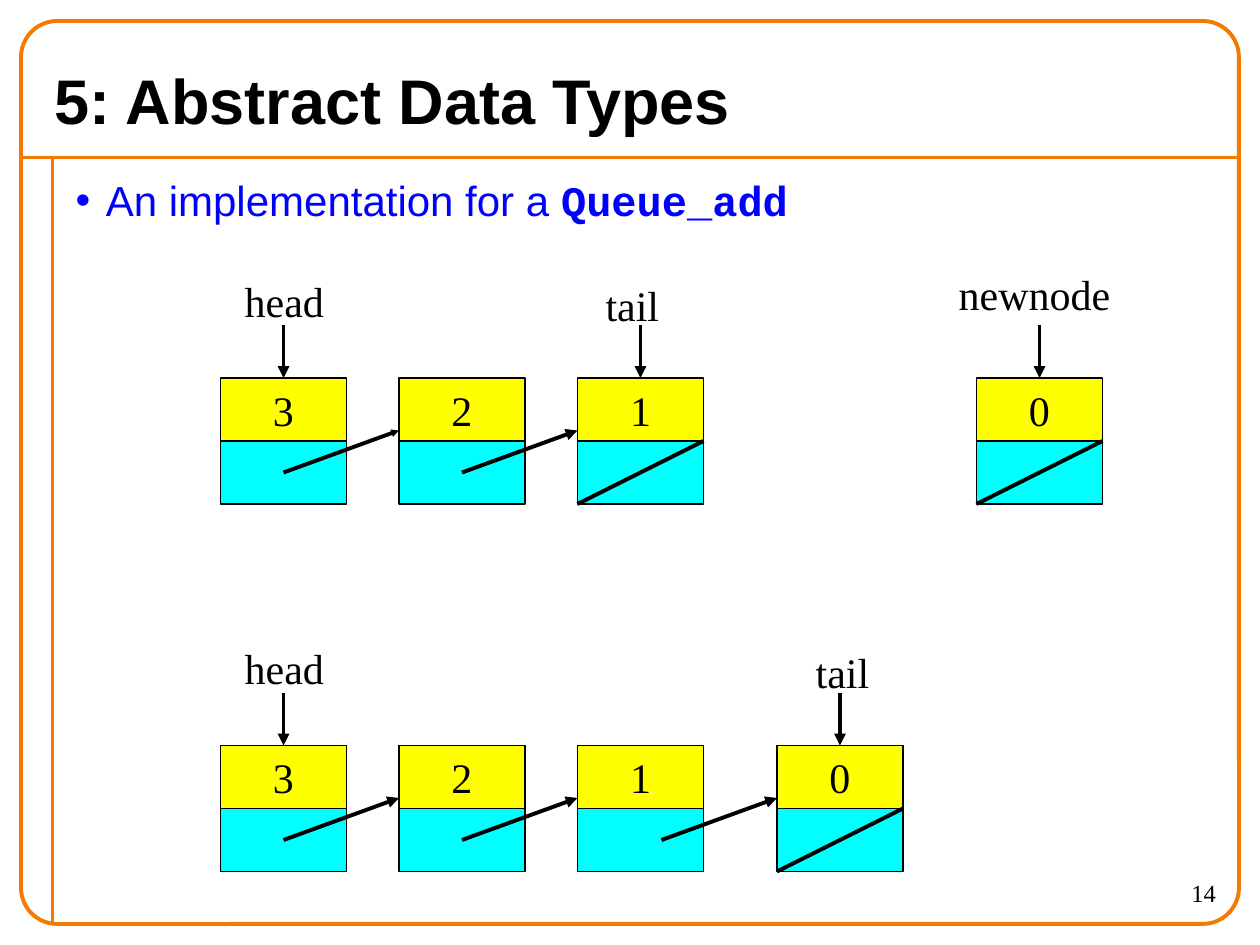
from lxml import etree
from pptx import Presentation
from pptx import util as u
from pptx.dml.color import RGBColor
from pptx.enum import shapes, text
from pptx.oxml import ns

ORANGE, BLACK, BLUE = "F47A00", "000000", "0000FF"
YELLOW, CYAN = "FFFF00", "00FFFF"
SERIF, SANS, MONO = "Times New Roman", "Arial", "Courier New"
NODE_W, CELL_H = 96, 48


def px(n):
    return u.Emu(n * 9525)


def rgb(value):
    return RGBColor.from_string(value)


def sub(parent, tag, **attrs):
    return etree.SubElement(parent, ns.qn(tag), attrs)


def add_run(p, words, font=SERIF, size=24, color=BLACK, bold=False):
    r = p.add_run()
    r.text = words
    r.font.name, r.font.size, r.font.bold = font, u.Pt(size), bold
    r.font.color.rgb = rgb(color)


def put_text(sp, words, align=text.PP_ALIGN.LEFT, anchor=text.MSO_ANCHOR.TOP,
             wrap=False, **font):
    """Fill the first paragraph of a shape and return it."""
    tf = sp.text_frame
    tf.word_wrap, tf.auto_size = wrap, text.MSO_AUTO_SIZE.NONE
    tf.vertical_anchor = anchor
    p = tf.paragraphs[0]
    p.alignment = align
    add_run(p, words, **font)
    return p


def add_line(s, x1, y1, x2, y2, color=BLACK, head=None):
    """Draw a line; head is the arrowhead size, "med" or "sm"."""
    line = s.shapes.add_connector(shapes.MSO_CONNECTOR.STRAIGHT,
                                  px(x1), px(y1), px(x2), px(y2))
    line.line.color.rgb = rgb(color)
    line.line.width = u.Pt(2.25)
    if head:
        sub(line.line._get_or_add_ln(), "a:tailEnd", type="triangle", w=head, len=head)
    sub(line._element.spPr, "a:effectLst")


def add_box(parent, kind, x, y, w, h, fill=None, line=BLACK, weight=0.75):
    sp = parent.shapes.add_shape(kind, px(x), px(y), px(w), px(h))
    sp.shadow.inherit = False
    if fill:
        sp.fill.solid()
        sp.fill.fore_color.rgb = rgb(fill)
    else:
        sp.fill.background()
    sp.line.color.rgb = rgb(line)
    sp.line.width = u.Pt(weight)
    return sp


def add_frame(s, x, y, w, h):
    rule_y, rule_x = y + 104, x + 24
    add_line(s, x, rule_y, x + w, rule_y, ORANGE)
    add_line(s, rule_x, rule_y, rule_x, y + h, ORANGE)
    frame = add_box(s, shapes.MSO_SHAPE.ROUNDED_RECTANGLE, x, y, w, h,
                    line=ORANGE, weight=2.25)
    frame.adjustments[0] = 0.04


def place(sp, x, y, w, h):
    sp.left, sp.top, sp.width, sp.height = px(x), px(y), px(w), px(h)


def fill_placeholders(s):
    title, body = s.placeholders
    place(title, 32, 40, 896, 72)
    put_text(title, "5: Abstract Data Types", anchor=text.MSO_ANCHOR.MIDDLE,
             wrap=True, font=SANS, size=36, bold=True)

    place(body, 48, 128, 888, 576)
    p = put_text(body, "An implementation for a ", wrap=True, font=SANS, color=BLUE)
    add_run(p, "Queue_add", font=MONO, color=BLUE, bold=True)
    p.space_before = u.Pt(0)
    pPr = p._p.get_or_add_pPr()
    pPr.set("marL", str(px(23)))
    pPr.set("indent", str(px(-23)))
    sub(sub(pPr, "a:buClr"), "a:srgbClr", val=BLUE)
    sub(pPr, "a:buFont", typeface=SANS)
    sub(pPr, "a:buChar", char="•")


def add_label(s, words, x, y, w, h, **fmt):
    put_text(s.shapes.add_textbox(px(x), px(y), px(w), px(h)), words, **fmt)


def add_node(s, x, y, value):
    group = s.shapes.add_group_shape()
    rect = shapes.MSO_SHAPE.RECTANGLE
    add_box(group, rect, x, y + CELL_H, NODE_W, CELL_H, CYAN)
    cell = add_box(group, rect, x, y, NODE_W, CELL_H, YELLOW)
    put_text(cell, value, align=text.PP_ALIGN.CENTER, anchor=text.MSO_ANCHOR.MIDDLE)


def add_list(s, y, nodes, links, ends, pointers):
    """nodes: (x, value); links: (start x, end x, head size); ends: x of the
    nodes with a null link; pointers: (node x, name, dx, dy, width)."""
    for x, value in nodes:
        add_node(s, x, y, value)
    for start, end, head in links:
        add_line(s, start, y + 72, end, y + 40, head=head)
    for x in ends:
        add_line(s, x + NODE_W, y + CELL_H, x, y + 2 * CELL_H)
    for x, name, dx, dy, w in pointers:
        mid = x + NODE_W // 2
        add_line(s, mid, y - 40, mid, y, head="med")
        add_label(s, name, x + dx, y + dy, w, 48)


def main():
    prs = Presentation()
    prs.slide_width, prs.slide_height = px(960), px(720)
    s = prs.slides.add_slide(prs.slide_layouts[1])
    add_frame(s, 16, 16, 928, 688)
    fill_placeholders(s)
    add_label(s, "14", 840, 664, 96, 40, align=text.PP_ALIGN.RIGHT, wrap=True, size=14)

    first, second, third = (168 + 136 * i for i in range(3))
    added, new = 592, 744
    queue = [(first, "3"), (second, "2"), (third, "1")]
    head = (first, "head", 9, -83, 80)
    add_list(s, 288, queue + [(new, "0")],
             [(first + 48, second, "sm"), (second + 48, third, "med")],
             [third, new],
             [head, (third, "tail", 12, -80, 60), (new, "newnode", -23, -88, 134)])
    add_list(s, 568, queue + [(added, "0")],
             [(first + 48, second, "med"), (second + 48, third, "med"),
              (third + 64, added, "med")],
             [added],
             [head, (added, "tail", 20, -80, 60)])
    prs.save("out.pptx")


if __name__ == "__main__":
    main()
